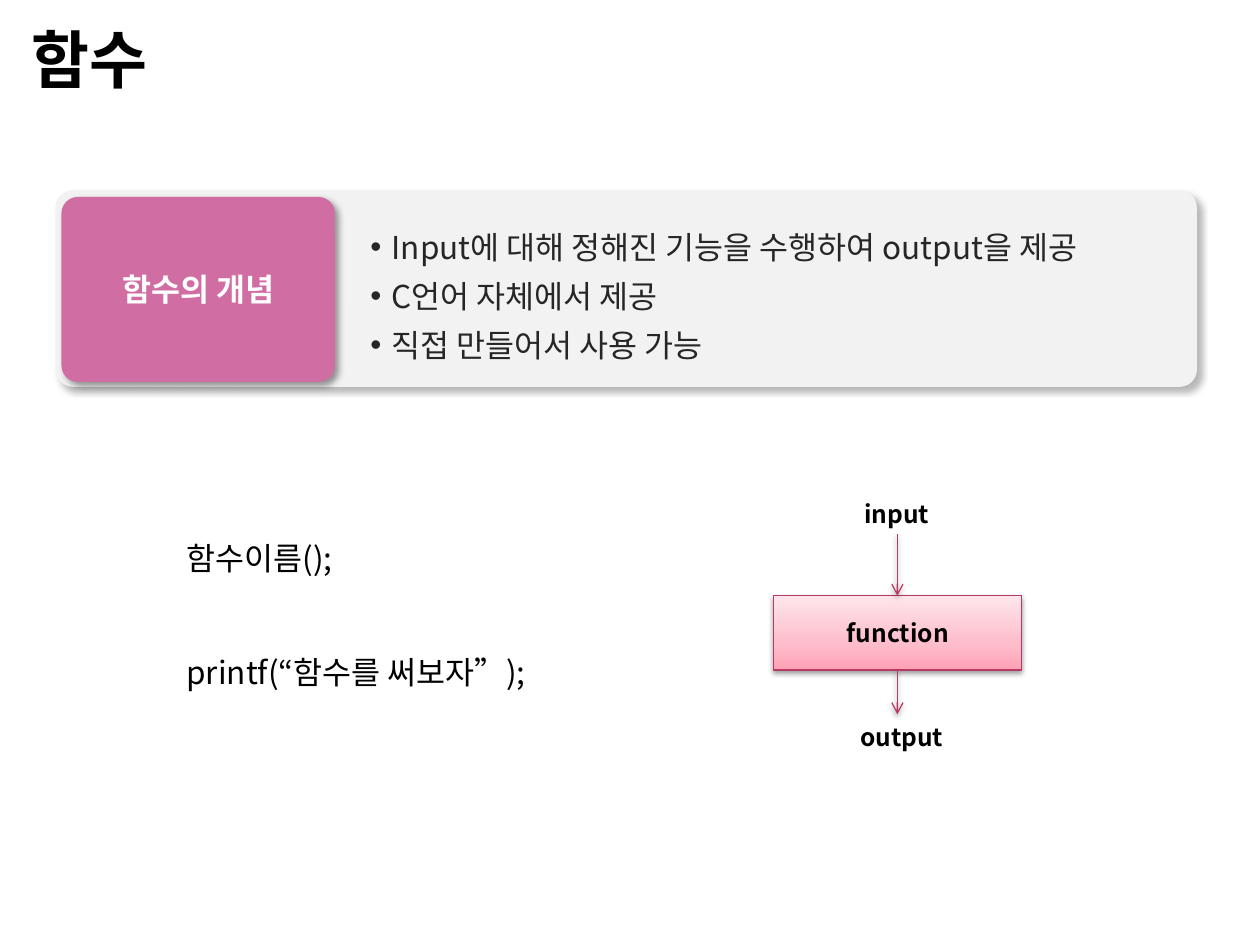
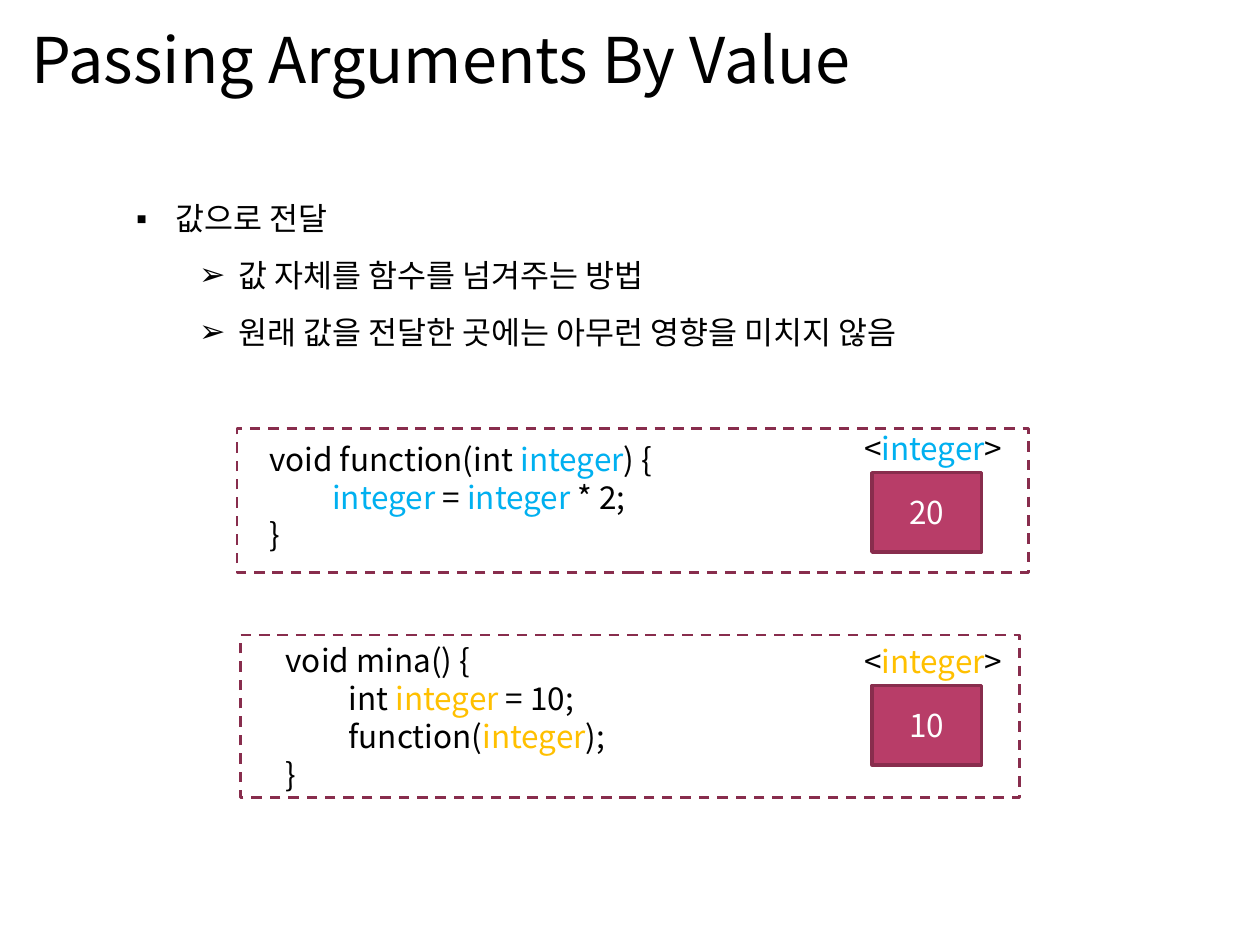
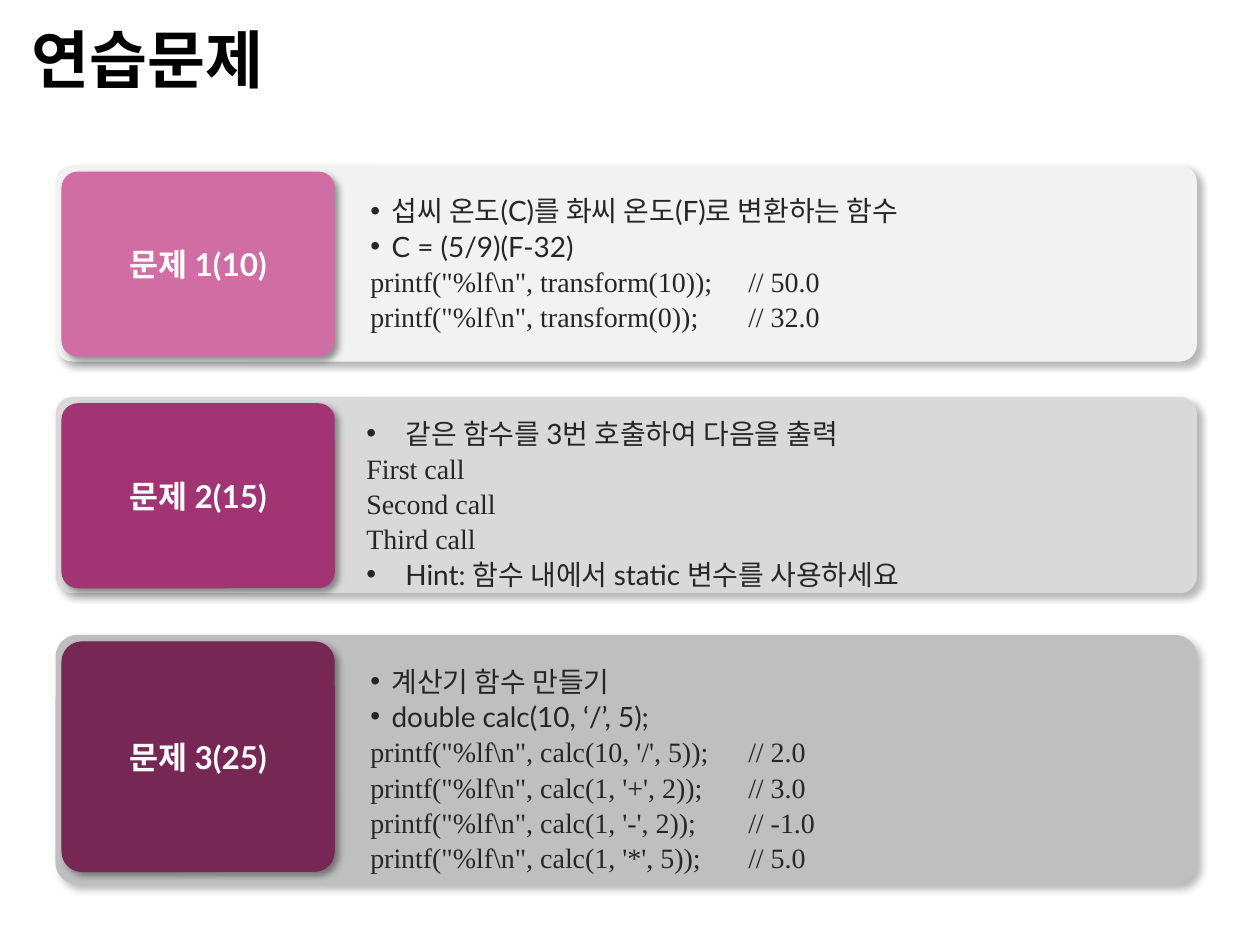
from lxml.etree import SubElement
from pptx import Presentation
from pptx.dml.color import RGBColor
from pptx.enum.dml import MSO_LINE
from pptx.enum.shapes import MSO_CONNECTOR, MSO_SHAPE
from pptx.enum.text import MSO_ANCHOR, MSO_AUTO_SIZE, PP_ALIGN
from pptx.oxml.ns import qn
from pptx.util import Cm, Pt

KOREAN, LATO, SERIF = "Noto Sans CJK KR", "Lato", "Times New Roman"
BLACK, WHITE, INK = "000000", "FFFFFF", "262626"
ROSE, WINE, BERRY = "B73965", "882D4D", "B83D68"
BLUE, AMBER = "00B0F0", "FFC000"
PINK, MAGENTA, PLUM = "D06EA4", "A13573", "772754"

TITLE_AND_BODY, COMPARISON = 1, 4
CARD_LEFT, CARD_WIDTH = 1.12, 23.01
TAB_LEFT, TAB_WIDTH = 1.24, 5.51
LABEL_WIDTH, LABEL_HEIGHT = 3.8, 1.02
CORNER = 0.088


def rgb(colour):
    return RGBColor.from_string(colour)


def cm(*lengths):
    return [Cm(length) for length in lengths]


def add_xml(parent, tag, **attributes):
    child = SubElement(parent, qn(tag))
    for key, value in attributes.items():
        child.set(key, str(value))
    return child


def split_runs(line, accent, colour):
    """Yield (text, colour) pieces, with the accent word in its own colour."""
    word, word_colour = accent or (None, None)
    for index, piece in enumerate(line.split(word) if word else [line]):
        if index:
            yield word, word_colour
        if piece:
            yield piece, colour


def write(frame, lines, size=18, font=KOREAN, colour=BLACK, bold=False, align=PP_ALIGN.LEFT,
          spacing=1.0, before=0, bullet=None, indent=0, hang=0, level=0, tab=None, accent=None):
    """Append each line as one paragraph."""
    for line in lines:
        first = frame.paragraphs[0]
        paragraph = frame.add_paragraph() if first.runs else first
        paragraph.alignment, paragraph.level = align, level
        paragraph.line_spacing, paragraph.space_before = spacing, Pt(before)
        props = paragraph._p.get_or_add_pPr()
        props.set("marL", str(Cm(indent)))
        props.set("indent", str(-Cm(hang)))
        if bullet:
            add_xml(props, "a:buChar", char=bullet)
        else:
            add_xml(props, "a:buNone")
        if tab:
            add_xml(add_xml(props, "a:tabLst"), "a:tab", pos=Cm(tab), algn="l")
        for text, run_colour in split_runs(line, accent, colour):
            run = paragraph.add_run()
            run.text = text
            run.font.size, run.font.name, run.font.bold = Pt(size), font, bold
            run.font.color.rgb = rgb(run_colour)
            add_xml(run._r.get_or_add_rPr(), "a:ea", typeface=KOREAN)


def cast_shadow(effects, opacity, blur, distance, angle):
    shadow = add_xml(effects, "a:outerShdw", blurRad=Pt(blur), dist=Pt(distance),
                     dir=angle * 60000, algn="t", rotWithShape=0)
    add_xml(add_xml(shadow, "a:srgbClr", val=BLACK), "a:alpha", val=opacity * 1000)


CARD_SHADOW = (27, 4, 3, 45)
TAB_SHADOW = (40, 4, 3, 45)
FLOW_SHADOW = (38, 3.1, 1.6, 90)


class Deck:
    def __init__(self):
        self.file = Presentation()
        self.file.slide_width, self.file.slide_height = cm(25.4, 19.05)

    def new_slide(self, title, layout=TITLE_AND_BODY, font=KOREAN, bold=True):
        self.slide = self.file.slides.add_slide(self.file.slide_layouts[layout])
        self.bodies = [p for p in self.slide.placeholders if p.placeholder_format.idx]
        heading = self.slide.shapes.title
        frame = self.place(heading, 0.38, 0.3, 22.86, 1.75)
        frame.vertical_anchor = MSO_ANCHOR.MIDDLE
        write(frame, [title], size=36, font=font, bold=bold)

    def place(self, holder, *box):
        """Move a placeholder, bring it to the front and return its text frame."""
        holder.left, holder.top, holder.width, holder.height = cm(*box)
        holder.element.getparent().append(holder.element)
        frame = holder.text_frame
        frame.word_wrap, frame.auto_size = True, MSO_AUTO_SIZE.NONE
        return frame

    def body(self, *box):
        frame = self.place(self.bodies.pop(0), *box)
        frame.vertical_anchor = MSO_ANCHOR.TOP
        return frame

    def drop_unused(self):
        for holder in self.bodies:
            holder.element.getparent().remove(holder.element)

    def text(self, lines, *box, wrap=True, **style):
        frame = self.slide.shapes.add_textbox(*cm(*box)).text_frame
        frame.word_wrap, frame.auto_size = wrap, MSO_AUTO_SIZE.SHAPE_TO_FIT_TEXT
        write(frame, lines, **style)

    def shape(self, kind, *box, fill=None, line=None, width=0.75, dash=None, shadow=None):
        shape = self.slide.shapes.add_shape(kind, *cm(*box))
        shape.shadow.inherit = False
        if shadow:
            cast_shadow(shape.element.spPr.find(qn("a:effectLst")), *shadow)
        if fill:
            shape.fill.solid()
            shape.fill.fore_color.rgb = rgb(fill)
        else:
            shape.fill.background()
        if line:
            shape.line.color.rgb, shape.line.width = rgb(line), Pt(width)
            shape.line.dash_style = dash
        else:
            shape.line.fill.background()
        return shape

    def caption(self, shape, text, **style):
        shape.text_frame.vertical_anchor = MSO_ANCHOR.MIDDLE
        write(shape.text_frame, [text], align=PP_ALIGN.CENTER, **style)

    def gradient(self, shape, stops):
        """Fill from bottom to top with (percent, colour) stops."""
        shape.fill.gradient()
        shape.fill.gradient_angle = 90
        stop_list = shape.element.spPr.find(".//" + qn("a:gsLst"))
        for stop in list(stop_list):
            stop_list.remove(stop)
        for percent, colour in stops:
            add_xml(add_xml(stop_list, "a:gs", pos=percent * 1000), "a:srgbClr", val=colour)

    def arrow_down(self, x, top, bottom):
        arrow = self.slide.shapes.add_connector(MSO_CONNECTOR.STRAIGHT, *cm(x, top, x, bottom))
        arrow.line.color.rgb, arrow.line.width = rgb(ROSE), Pt(0.75)
        props = arrow.element.spPr
        add_xml(props.find(qn("a:ln")), "a:tailEnd", type="arrow")
        cast_shadow(add_xml(props, "a:effectLst"), *FLOW_SHADOW)

    def card(self, label, top, fill, tab_fill, height=3.96, tab_height=3.73, font=KOREAN):
        """Draw a rounded panel with a coloured label tab at its left."""
        tab_top = top + 0.13
        for box, colour, shadow in (
                ((CARD_LEFT, top, CARD_WIDTH, height), fill, CARD_SHADOW),
                ((TAB_LEFT, tab_top, TAB_WIDTH, tab_height), tab_fill, TAB_SHADOW)):
            panel = self.shape(MSO_SHAPE.ROUNDED_RECTANGLE, *box, fill=colour, shadow=shadow)
            panel.adjustments[0] = CORNER
        self.text([label], TAB_LEFT + (TAB_WIDTH - LABEL_WIDTH) / 2,
                  tab_top + (tab_height - LABEL_HEIGHT) / 2, LABEL_WIDTH, LABEL_HEIGHT,
                  wrap=False, font=font, colour=WHITE, bold=True, align=PP_ALIGN.CENTER)


def function_slide(deck):
    deck.new_slide("함수")
    deck.card("함수의 개념", 3.84, "F2F2F2", PINK)
    write(deck.body(7.21, 4.27, 16.51, 3.23),
          ["Input에 대해 정해진 기능을 수행하여 output을 제공", "C언어 자체에서 제공",
           "직접 만들어서 사용 가능"],
          colour=INK, spacing=Pt(27), before=1, bullet="•", indent=0.43, hang=0.43)

    syntax_box = (3.51, 10.36, 9.65, 3.71)
    deck.text(["함수이름();"], *syntax_box, spacing=1.5)
    write(deck.slide.shapes[-1].text_frame, ["printf(“함수를 써보자”);"], spacing=1.5, before=32.5)

    function_box = deck.shape(MSO_SHAPE.RECTANGLE, 15.6, 12.01, 5, 1.5,
                              fill=WHITE, line=ROSE, shadow=FLOW_SHADOW)
    deck.gradient(function_box, [(0, "FFA0B5"), (35, "FDBDCB"), (100, "FFE5EB")])
    deck.caption(function_box, "function", size=14, bold=True)
    deck.arrow_down(18.09, 10.77, 12.01)
    deck.arrow_down(18.09, 13.51, 14.4)
    for name, *box in (("input", 17.17, 9.93, 1.88, 0.86), ("output", 17.09, 14.43, 2.24, 0.86)):
        deck.text([name], *box, wrap=False, size=14, bold=True)


def by_value_slide(deck):
    deck.new_slide("Passing Arguments By Value", bold=False)
    summary = deck.body(2.49, 3.51, 17.55, 3.71)
    write(summary, ["값으로 전달"], spacing=1.5, bullet="▪", indent=0.79, hang=0.79)
    write(summary, ["값 자체를 함수를 넘겨주는 방법", "원래 값을 전달한 곳에는 아무런 영향을 미치지 않음"],
          spacing=1.5, bullet="➢", indent=2.06, hang=0.79, level=1)

    callee = ["void function(int integer) {", "\tinteger = integer * 2;", "}"]
    caller = ["void mina() {", "\tint integer = 10;", "\tfunction(integer);", "}"]
    for scope_box, code, code_box, value, value_top, colour in (
            ((4.78, 8.64, 15.95, 2.9), callee, (5.18, 8.74, 10.26, 2.57), "20", 9.53, BLUE),
            ((4.85, 12.8, 15.7, 3.28), caller, (5.51, 12.8, 9.22, 3.33), "10", 13.82, AMBER)):
        accent = ("integer", colour)
        deck.shape(MSO_SHAPE.RECTANGLE, *scope_box, line=WINE, width=1.5, dash=MSO_LINE.DASH)
        deck.text(code, *code_box, wrap=False, tab=2.54, accent=accent)
        memory = deck.shape(MSO_SHAPE.RECTANGLE, 17.58, value_top, 2.21, 1.6,
                            fill=BERRY, line=WINE, width=2)
        deck.caption(memory, value, colour=WHITE)
        deck.text(["<integer>"], 17.17, value_top - 1, 3.71, 1.02, wrap=False, accent=accent)


def exercise_slide(deck):
    deck.new_slide("연습문제", layout=COMPARISON, font=LATO)
    deck.card("문제 1(10)", 3.33, "F2F2F2", PINK, font=LATO)
    deck.card("문제 2(15)", 8, "D9D9D9", MAGENTA, font=LATO)
    deck.card("문제 3(25)", 12.8, "BFBFBF", PLUM, height=5.03, tab_height=4.65, font=LATO)

    base = dict(size=16, colour=INK, before=1)
    code = dict(base, font=SERIF, tab=7.62)
    point = dict(base, font=LATO, bullet="•", indent=0.43, hang=0.43)
    wide_point = dict(point, indent=0.79, hang=0.79)
    exercises = (
        ((7.21, 3.78, 16.92, 3.1), (
            (point, ["섭씨 온도(C)를 화씨 온도(F)로 변환하는 함수", "C = (5/9)(F-32)"]),
            (code, [r'printf("%lf\n", transform(10));' + "\t// 50.0",
                    r'printf("%lf\n", transform(0));' + "\t// 32.0"]))),
        ((7.13, 8.26, 16.43, 3.81), (
            (wide_point, ["같은 함수를 3번 호출하여 다음을 출력"]),
            (code, ["First call", "Second call", "Third call"]),
            (wide_point, ["Hint: 함수 내에서 static 변수를 사용하세요"]))),
        ((7.21, 13.26, 16.92, 4.55), (
            (point, ["계산기 함수 만들기", "double calc(10, ‘/’, 5);"]),
            (code, [rf'printf("%lf\n", calc({arguments}));' + f"\t// {result}"
                    for arguments, result in (("10, '/', 5", "2.0"), ("1, '+', 2", "3.0"),
                                              ("1, '-', 2", "-1.0"), ("1, '*', 5", "5.0"))]))),
    )
    for box, parts in exercises:
        frame = deck.body(*box)
        for style, lines in parts:
            write(frame, lines, **style)
    deck.drop_unused()


def main():
    deck = Deck()
    function_slide(deck)
    by_value_slide(deck)
    exercise_slide(deck)
    deck.file.save("out.pptx")


if __name__ == "__main__":
    main()
